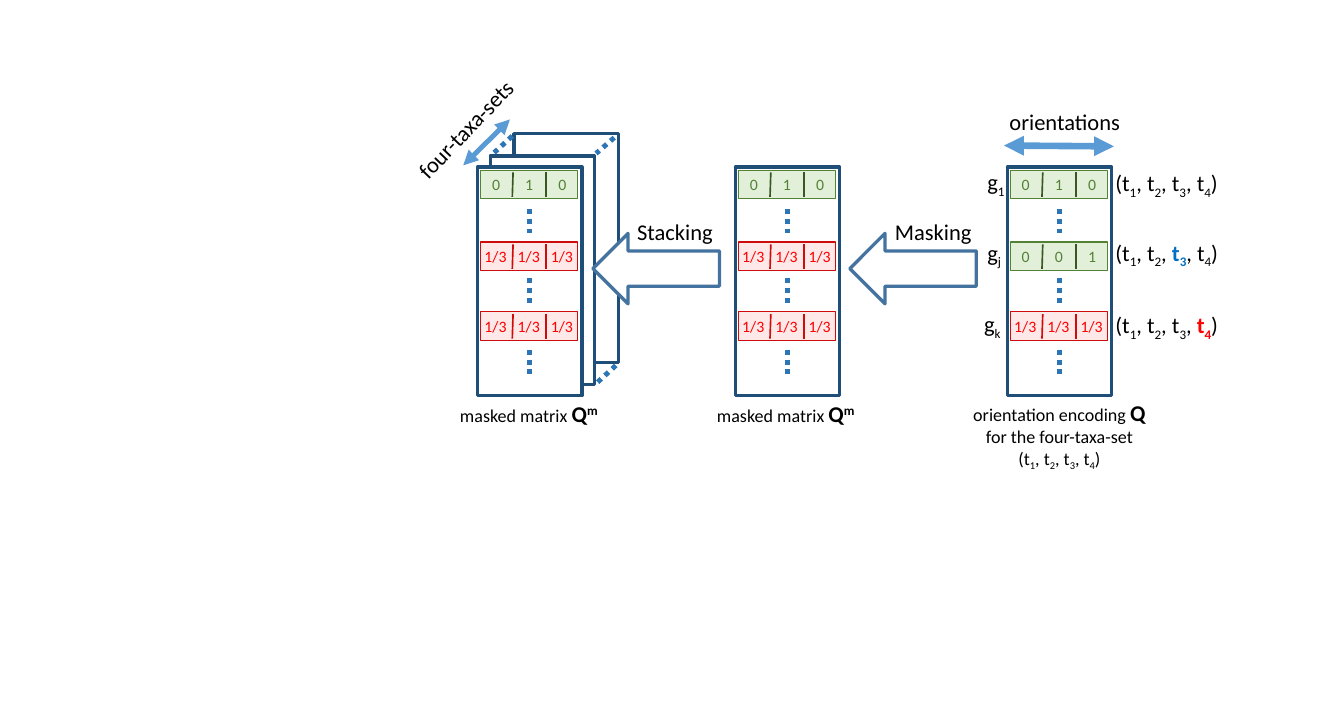
from lxml import etree
from pptx import Presentation
from pptx import util as u
from pptx.dml.color import RGBColor
from pptx.enum import dml, shapes, text
from pptx.oxml import ns

COLORS = {
    "white": "FFFFFF", "black": "000000", "navy": "1F4E79", "dots": "2E75B6",
    "span_arrow": "5B9BD5", "step_arrow": "43739E", "blue": "0070C0", "red": "FF0000",
    "green": "548235", "dark_green": "385723", "pale_green": "E2F0D9",
    "dark_red": "CE0C0C", "pale_red": "FEE8E8",
}


def write(words, left, top, width, height, size=20.5, color="black", accent="black",
          accent_size=20.5, align=text.PP_ALIGN.LEFT, rotation=0):
    """Spans are parted by |; a leading * is bold accent, _ subscript, ^ superscript."""
    box = page.shapes.add_textbox(*map(u.Inches, (left, top, width, height)))
    box.rotation = rotation
    frame = box.text_frame
    frame.word_wrap = False
    frame.auto_size = text.MSO_AUTO_SIZE.SHAPE_TO_FIT_TEXT
    for index, line in enumerate(words.split("\n")):
        para = frame.paragraphs[0] if index == 0 else frame.add_paragraph()
        para.alignment = align
        for piece in line.split("|"):
            strong = piece.startswith("*")
            piece = piece.removeprefix("*")
            span = para.add_run()
            span.text = piece.lstrip("_^")
            span.font.name = "Calibri"
            span.font.size = u.Pt(accent_size if strong else size)
            span.font.bold = strong
            span.font.color.rgb = RGBColor.from_string(COLORS[accent if strong else color])
            if piece[0] in "_^":
                baseline = "-25000" if piece[0] == "_" else "30000"
                span.font._element.set("baseline", baseline)


def draw_line(start, end, color, width, dotted=False, arrows=False):
    line = page.shapes.add_connector(shapes.MSO_CONNECTOR.STRAIGHT, *map(u.Inches, start + end))
    line.line.color.rgb = RGBColor.from_string(COLORS[color])
    line.line.width = u.Pt(width)
    if dotted:
        line.line.dash_style = dml.MSO_LINE.ROUND_DOT
    if arrows:
        for tag in ("a:headEnd", "a:tailEnd"):
            etree.SubElement(line.line._get_or_add_ln(), ns.qn(tag), type="triangle")
    etree.SubElement(line._element.spPr, ns.qn("a:effectLst"))


deck = Presentation()
deck.slide_width, deck.slide_height = u.Inches(17), u.Inches(9)
page = deck.slides.add_slide(deck.slide_layouts[6])

RECTANGLE = shapes.MSO_SHAPE.RECTANGLE
LEFT_ARROW = shapes.MSO_SHAPE.LEFT_ARROW
ROW_TOPS = (2.15, 3.06, 3.94)
masked_rows = ("0 1 0", "1/3 1/3 1/3", "1/3 1/3 1/3")
encoded_rows = ("0 1 0", "0 0 1", "1/3 1/3 1/3")
matrices = ((6.04, masked_rows), (9.3, masked_rows), (12.74, encoded_rows))
strips = [(left, top, row.split()) for left, rows in matrices
          for top, row in zip(ROW_TOPS, rows)]

frames = [(6.5, 1.69), (6.2, 1.97)] + [(left, 2.11) for left, rows in matrices]
outlines = [(RECTANGLE, left, top, 1.32, 2.89, "white", "navy", 3) for left, top in frames]
for left, top, cells in strips:
    fill, edge = ("pale_red", "dark_red") if "1/3" in cells else ("pale_green", "green")
    outlines.append((RECTANGLE, left + 0.04, top, 1.23, 0.36, fill, edge, 1))
for left in (7.5, 10.75):
    outlines.append((LEFT_ARROW, left, 2.95, 1.6, 0.89, "white", "step_arrow", 3))

for kind, left, top, width, height, fill, edge, weight in outlines:
    shape = page.shapes.add_shape(kind, *map(u.Inches, (left, top, width, height)))
    shape.shadow.inherit = False
    shape.fill.solid()
    shape.fill.fore_color.rgb = RGBColor.from_string(COLORS[fill])
    shape.line.color.rgb = RGBColor.from_string(COLORS[edge])
    shape.line.width = u.Pt(weight)

for left, top, cells in strips:
    masked = "1/3" in cells
    divider = "dark_red" if masked else "dark_green"
    draw_line((left + 0.45, top + 0.03), (left + 0.44, top + 0.34), divider, 1.5)
    draw_line((left + 0.87, top + 0.03), (left + 0.87, top + 0.34), divider, 1.5)
    width = 0.5 if masked else 0.31
    for column, value in enumerate(cells):
        center = left + 0.24 + 0.42 * column
        write(value, center - width / 2, top + 0.01, width, 0.35, size=14.4,
              color="red" if masked else "green")

for left, rows in matrices:
    for top in (2.64, 3.52, 4.42):
        draw_line((left + 0.66, top), (left + 0.66, top + 0.31), "dots", 4.5, dotted=True)

for start, end in (((6.48, 1.72), (6.25, 1.93)),
                   ((7.77, 1.74), (7.54, 1.94)),
                   ((7.79, 4.62), (7.56, 4.83))):
    draw_line(start, end, "dots", 4.5, dotted=True)

draw_line((5.86, 2.09), (6.45, 1.51), "span_arrow", 4.5, arrows=True)
draw_line((12.7, 1.84), (14.09, 1.85), "span_arrow", 6, arrows=True)
write("four-taxa-sets", 4.99, 1.38, 1.86, 0.46, rotation=313.8)
write("orientations", 12.67, 1.32, 1.66, 0.46)
write("Stacking", 7.96, 2.71, 1.2, 0.46)
write("Masking", 11.22, 2.71, 1.21, 0.46)

for words, left, top, width in (("g|_1", 12.39, 2.08, 0.45),
                                ("g|_j", 12.39, 2.97, 0.39),
                                ("g|_k", 12.35, 3.87, 0.44)):
    write(words, left, top, width, 0.46)

TAXA = "(t|_1|, t|_2|, t|_3|, t|_4|)"
write(TAXA, 14.01, 2.09, 1.6, 0.46)
write(TAXA.replace("t|_3", "|*t|*_3"), 14.01, 2.97, 1.61, 0.46, accent="blue")
write(TAXA.replace("t|_4", "|*t|*_4"), 14.01, 3.88, 1.61, 0.46, accent="red",
      accent_size=20.6)

for left in (5.72, 8.97):
    write("masked matrix |*Q|*^m", left, 5.01, 2.03, 0.46, size=16.4)
write("orientation encoding |*Q\nfor the four-taxa-set\n" + TAXA, 12.14, 4.99, 2.52, 1.03,
      size=16.4, align=text.PP_ALIGN.CENTER)

deck.save("out.pptx")
